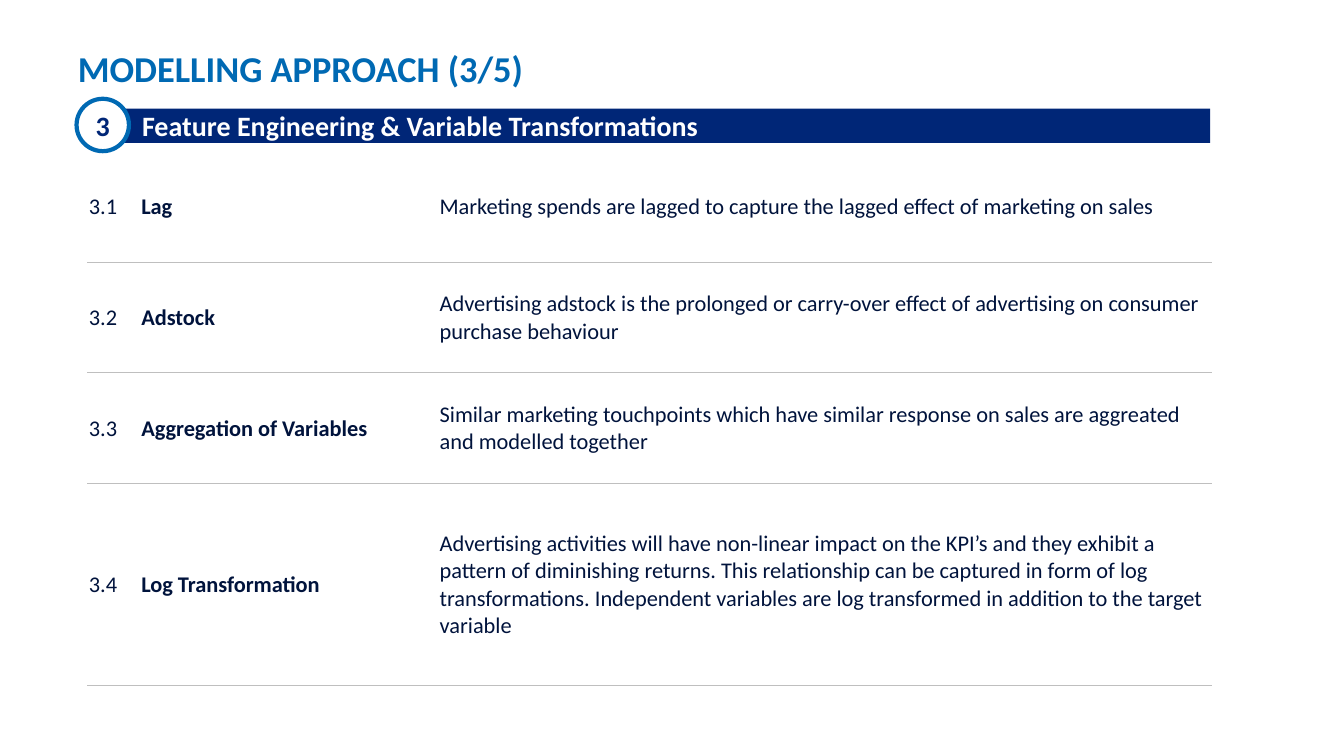
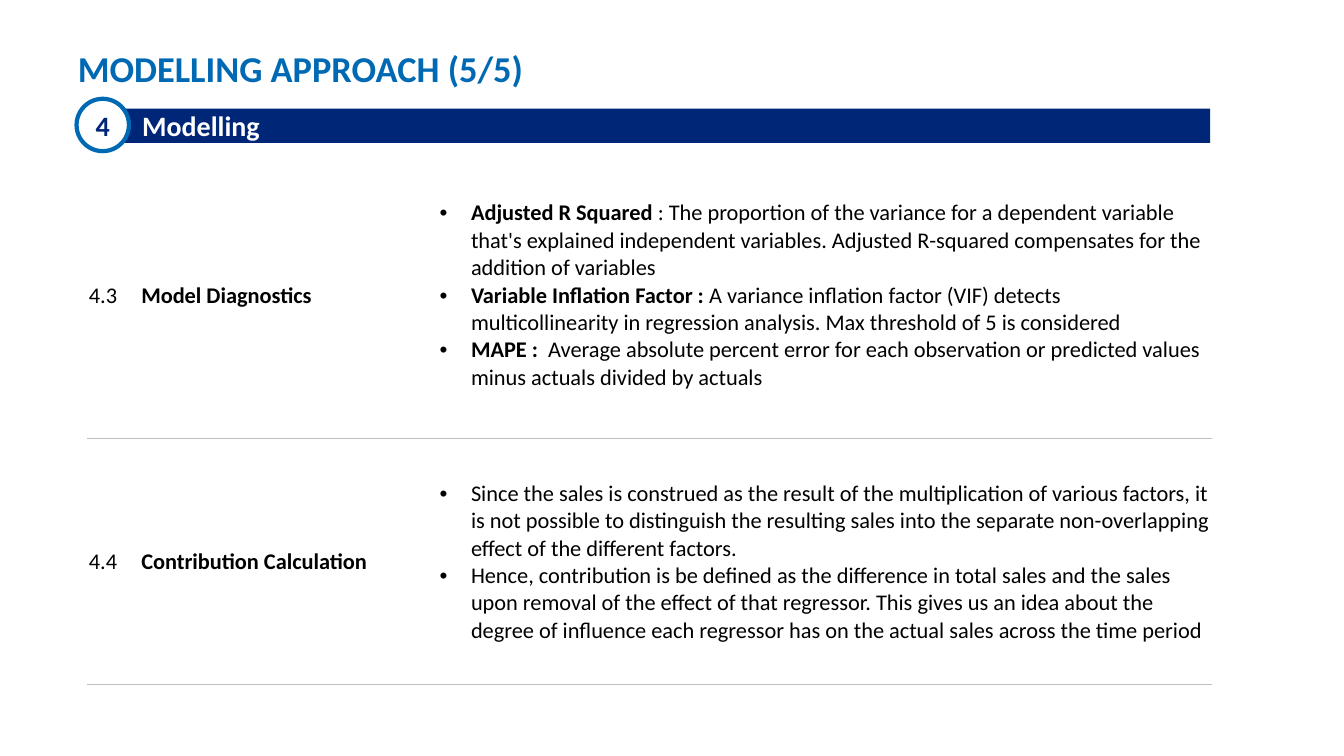
import pptx
import pptx.dml.color
import pptx.enum.shapes
import pptx.enum.text
import pptx.oxml.ns
import pptx.util
from lxml import etree

Cm = pptx.util.Cm
Pt = pptx.util.Pt
RGBColor = pptx.dml.color.RGBColor
Anchor = pptx.enum.text.MSO_ANCHOR
Align = pptx.enum.text.PP_ALIGN
Shape = pptx.enum.shapes.MSO_SHAPE
qn = pptx.oxml.ns.qn

# Colours
BLUE = RGBColor(0x00, 0x69, 0xB3)
NAVY = RGBColor(0x00, 0x26, 0x77)
INK = RGBColor(0x00, 0x13, 0x3C)
BLACK = RGBColor(0x00, 0x00, 0x00)
WHITE = RGBColor(0xFF, 0xFF, 0xFF)
GREY = RGBColor(0xBF, 0xBF, 0xBF)

# Text formats and table measures
FONT = "Calibri"
TITLE = {"size": Pt(26), "bold": True}
HEADING = {"size": Pt(20), "bold": True}
BODY = {"size": Pt(16), "bold": False}
STRONG = {"size": Pt(16), "bold": True}
CELL_MARGINS = {"margin_left": Cm(0.03), "margin_right": Cm(0.03),
                "margin_top": Cm(0.03), "margin_bottom": 0}
NO_MARGINS = dict.fromkeys(CELL_MARGINS, 0)
COLUMN_WIDTHS = (1.32, 7.52, 19.48)
BULLET_INDENT = Cm(0.79)

# Content: each row is number, topic, and paragraphs of (bold lead, text)
FEATURE_ROWS = [
    ("3.1", "Lag", [
        ("", "Marketing spends are lagged to capture the lagged effect of "
             "marketing on sales")]),
    ("3.2", "Adstock", [
        ("", "Advertising adstock is the prolonged or carry-over effect of "
             "advertising on consumer purchase behaviour")]),
    ("3.3", "Aggregation of Variables", [
        ("", "Similar marketing touchpoints which have similar response on "
             "sales are aggreated and modelled together")]),
    ("3.4", "Log Transformation", [
        ("", "Advertising activities will have non-linear impact on the KPI’s "
             "and they exhibit a pattern of diminishing returns. This "
             "relationship can be captured in form of log transformations. "
             "Independent variables are log transformed in addition to the "
             "target variable")]),
]
MODELLING_ROWS = [
    ("4.3", "Model Diagnostics", [
        ("Adjusted R Squared",
         " : The proportion of the variance for a dependent variable that's "
         "explained independent variables. Adjusted R-squared compensates "
         "for the addition of variables"),
        ("Variable Inflation Factor :",
         " A variance inflation factor (VIF) detects multicollinearity in "
         "regression analysis. Max threshold of 5 is considered"),
        ("MAPE : ",
         " Average absolute percent error for each observation or predicted "
         "values minus actuals divided by actuals")]),
    ("4.4", "Contribution Calculation", [
        ("", "Since the sales is construed as the result of the "
             "multiplication of various factors, it is not possible to "
             "distinguish the resulting sales into the separate "
             "non-overlapping effect of the different factors."),
        ("", "Hence, contribution is be defined as the difference in total "
             "sales and the sales upon removal of the effect of that "
             "regressor. This gives us an idea about the degree of influence "
             "each regressor has on the actual sales across the time "
             "period")]),
]


def set_all(target, values):
    for name, value in values.items():
        setattr(target, name, value)


def add_span(para, text, style, colour):
    span = para.add_run()
    span.text = text
    set_all(span.font, {"name": FONT, **style})
    span.font.color.rgb = colour


def add_title(page, text):
    title = page.shapes.title
    set_all(title, {"left": Cm(1.96), "top": Cm(0.13),
                    "width": Cm(28.58), "height": Cm(2.16)})
    set_all(title.text_frame, {
        **NO_MARGINS, "word_wrap": True, "vertical_anchor": Anchor.BOTTOM,
        "auto_size": pptx.enum.text.MSO_AUTO_SIZE.NONE})
    para = title.text_frame.paragraphs[0]
    set_all(para, {"alignment": Align.LEFT, "line_spacing": 0.9})
    add_span(para, text, TITLE, BLUE)


def add_filled_shape(group, kind, place, fill, text, colour, alignment):
    box = group.shapes.add_shape(kind, *map(Cm, place))
    box.shadow.inherit = False
    box.fill.solid()
    box.fill.fore_color.rgb = fill
    box.line.fill.background()
    box.text_frame.vertical_anchor = Anchor.MIDDLE
    para = box.text_frame.paragraphs[0]
    para.alignment = alignment
    add_span(para, text, HEADING, colour)
    return box


def add_section_header(page, number, heading):
    group = page.shapes.add_group_shape()
    band = add_filled_shape(group, Shape.RECTANGLE, (3.02, 2.74, 27.48, 0.86),
                            NAVY, heading, WHITE, Align.LEFT)
    band.text_frame.margin_left = Cm(0.56)
    badge = add_filled_shape(group, Shape.OVAL, (1.93, 2.49, 1.32, 1.32),
                             WHITE, number, NAVY, Align.CENTER)
    badge.text_frame.word_wrap = False
    badge.line.color.rgb = BLUE
    badge.line.width = Pt(3)


def set_borders(cell, is_first_row):
    side = (WHITE, Pt(1))
    rule = (GREY, Pt(0.5))
    borders = {"a:lnL": side, "a:lnR": side,
               "a:lnT": None if is_first_row else rule, "a:lnB": rule}
    properties = cell._tc.get_or_add_tcPr()
    for position, (tag, border) in enumerate(borders.items()):
        line = etree.Element(qn(tag))
        properties.insert(position, line)
        if border is None:
            etree.SubElement(line, qn("a:noFill"))
            continue
        colour, width = border
        line.set("w", str(int(width)))
        fill = etree.SubElement(line, qn("a:solidFill"))
        etree.SubElement(fill, qn("a:srgbClr"), val=str(colour))


def set_bullet(para):
    properties = para._p.get_or_add_pPr()
    properties.set("marL", str(int(BULLET_INDENT)))
    properties.set("indent", str(-int(BULLET_INDENT)))
    etree.SubElement(properties, qn("a:buFont"), typeface="Arial")
    etree.SubElement(properties, qn("a:buChar"), char="•")


def fill_cell(cell, paragraphs, colour, bulleted=False):
    set_all(cell, {**CELL_MARGINS, "vertical_anchor": Anchor.MIDDLE})
    cell.fill.background()
    frame = cell.text_frame
    for index, (lead, text) in enumerate(paragraphs):
        para = frame.add_paragraph() if index else frame.paragraphs[0]
        if bulleted:
            set_bullet(para)
        for words, style in ((lead, STRONG), (text, BODY)):
            if words:
                add_span(para, words, style, colour)


def add_topic_table(page, rows, heights, colour, bulleted):
    table = page.shapes.add_table(
        len(rows), len(COLUMN_WIDTHS), Cm(2.21), Cm(3.81),
        Cm(sum(COLUMN_WIDTHS)), Cm(sum(heights))).table
    set_all(table, {"first_row": False, "horz_banding": False})
    for column, width in zip(table.columns, COLUMN_WIDTHS):
        column.width = Cm(width)
    for index, (row, height) in enumerate(zip(rows, heights)):
        table.rows[index].height = Cm(height)
        number, topic, paragraphs = row
        cells = table.rows[index].cells
        fill_cell(cells[0], [("", number)], colour)
        fill_cell(cells[1], [(topic, "")], colour)
        fill_cell(cells[2], paragraphs, colour, bulleted)
        for cell in cells:
            set_borders(cell, index == 0)


def add_page(deck, title, number, heading, rows, heights, colour, bulleted):
    page = deck.slides.add_slide(deck.slide_layouts.get_by_name("Title Only"))
    add_title(page, title)
    add_topic_table(page, rows, heights, colour, bulleted)
    add_section_header(page, number, heading)


def main():
    deck = pptx.Presentation()
    set_all(deck, {"slide_width": Cm(33.87), "slide_height": Cm(19.05)})
    add_page(deck, "MODELLING APPROACH (3/5)", "3",
             "Feature Engineering & Variable Transformations",
             FEATURE_ROWS, (2.79, 2.79, 2.79, 5.08), INK, False)
    add_page(deck, "MODELLING APPROACH (5/5)", "4", "Modelling",
             MODELLING_ROWS, (7.24, 6.2), BLACK, True)
    deck.save("out.pptx")


main()
